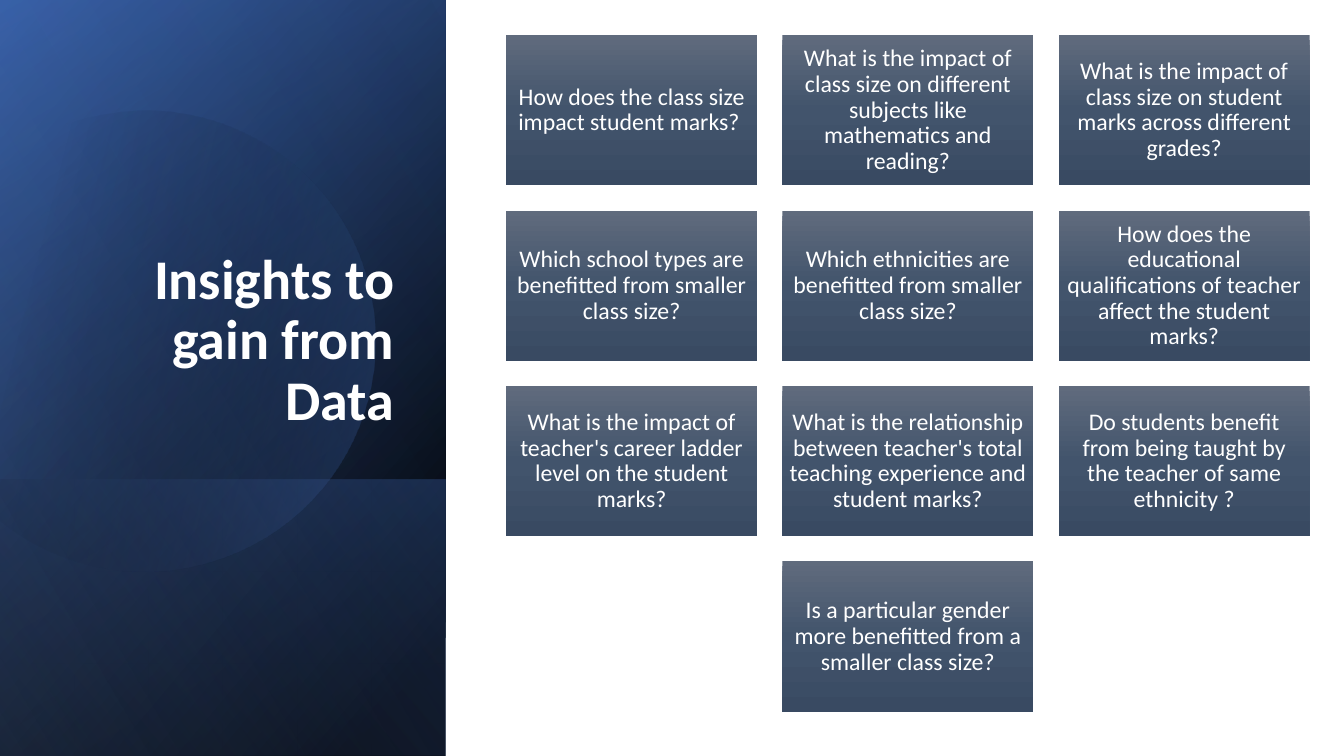
from math import cos, radians, sin

from pptx import Presentation
from pptx.dml.color import RGBColor as Rgb
from pptx.enum.shapes import MSO_SHAPE as Kind
from pptx.enum.text import MSO_ANCHOR as Anchor, PP_ALIGN as Align
from pptx.oxml import parse_xml
from pptx.oxml.ns import nsdecls, qn
from pptx.util import Inches, Pt

WIDE, HIGH = 13.33, 7.5
TITLE = "Insights to gain from Data"
ROWS = [
    ["How does the class size impact student marks? ",
     "What is the impact of class size on different subjects like mathematics and reading?",
     "What is the impact of class size on student marks across different grades?"],
    ["Which school types are benefitted from smaller class size?",
     "Which ethnicities are benefitted from smaller class size?",
     "How does the educational qualifications of teacher affect the student marks?"],
    ["What is the impact of teacher's career ladder level on the student marks?",
     "What is the relationship between teacher's total teaching experience and student marks?",
     "Do students benefit from being taught by the teacher of same ethnicity ?"],
    ["Is a particular gender more benefitted from a smaller class size?"],
]
COLS = 3
LEFT, TOP = 5.02, 0.35
CARD_W, CARD_H, GAP = 2.49, 1.49, 0.25
CARD_FILL = [(0, "606B7D", 100), (50, "42546C", 100), (100, "394A62", 100)]

SIDE = (-1.54, 1.54, HIGH, 4.42)
FOOT = (0.84, 3.92, 2.74, 4.42)
BACK = [
    (SIDE, 50, [(8, "000000", 100), (100, "2F5597", 100)]),
    (SIDE, 30, [(0, "000000", 0), (99, "4472C4", 46)]),
    (FOOT, 130, [(2, "4472C4", 29), (100, "000000", 30)]),
]
GLOW = (SIDE, 120, [(0, "000000", 0), (99, "8FAADC", 11)])

DISC_FILL = [(29, "000000", 0), (100, "4472C4", 43)]
DISC_MID, DISC_TURN = (1.585, 3.345), -16.1
DISC_START = (1.49, 1.1)
DISC = [
    [(2.46, 1.12), (3.35, 1.77), (3.63, 2.75)],
    [(3.98, 3.97), (3.28, 5.23), (2.07, 5.58)],
    [(1.31, 5.8), (0.53, 5.61), (-0.03, 5.14)],
    [(-0.15, 5.03)],
    [(-0.15, 1.75)],
    [(0, 1.61)],
    [(0.23, 1.42), (0.5, 1.28), (0.8, 1.19)],
    [(1.03, 1.13), (1.26, 1.1), (1.49, 1.1)],
]
STEPS = 24


def rgb(code):
    return Rgb.from_string(code)


def shade(shape, stops, angle):
    shape.shadow.inherit = False
    shape.line.fill.background()
    shape.fill.background()
    marks = "".join(
        f'<a:gs pos="{pos * 1000}"><a:srgbClr val="{code}">'
        f'<a:alpha val="{alpha * 1000}"/></a:srgbClr></a:gs>'
        for pos, code, alpha in stops)
    grad = parse_xml(
        f'<a:gradFill {nsdecls("a")} rotWithShape="1"><a:gsLst>{marks}</a:gsLst>'
        f'<a:lin ang="{angle * 60000}" scaled="0"/></a:gradFill>')
    props = shape.element.spPr
    props.replace(props.find(qn("a:noFill")), grad)


def block(slide, box, stops, angle):
    shape = slide.shapes.add_shape(Kind.RECTANGLE, *map(Inches, box))
    shade(shape, stops, angle)
    return shape


def panel(slide, box, angle, stops):
    shape = block(slide, box, stops, angle)
    shape.rotation = 90
    shape.element.spPr.find(qn("a:xfrm")).set("flipH", "1")


def write(shape, text, size, align, anchor, bold=False, inset=None):
    frame = shape.text_frame
    frame.word_wrap = True
    frame.vertical_anchor = anchor
    if inset is not None:
        frame.margin_left = frame.margin_right = Inches(inset)
        frame.margin_top = frame.margin_bottom = Inches(inset)
    para = frame.paragraphs[0]
    para.alignment = align
    para.line_spacing = 0.9
    run = para.add_run()
    run.text = text
    font = run.font
    font.name, font.size, font.bold = "Calibri", Pt(size), bold
    font.color.rgb = rgb("FFFFFF")


def trace():
    spots = [DISC_START]
    for part in DISC:
        if len(part) == 1:
            spots += part
            continue
        a, (b, c, d) = spots[-1], part
        for step in range(1, STEPS + 1):
            t = step / STEPS
            u = 1 - t
            spots.append(tuple(
                u**3 * a[i] + 3 * u * u * t * b[i] + 3 * u * t * t * c[i] + t**3 * d[i]
                for i in (0, 1)))
    return spots


def turn(spot):
    x, y = spot[0] - DISC_MID[0], spot[1] - DISC_MID[1]
    arc = radians(-DISC_TURN)
    return (Inches(DISC_MID[0] + x * cos(arc) - y * sin(arc)),
            Inches(DISC_MID[1] + x * sin(arc) + y * cos(arc)))


def disc(slide):
    first, *rest = map(turn, trace())
    pen = slide.shapes.build_freeform(*first)
    pen.add_line_segments(rest, close=True)
    shape = pen.convert_to_shape()
    shape.rotation = DISC_TURN
    shade(shape, DISC_FILL, 30)


def main():
    deck = Presentation()
    deck.slide_width, deck.slide_height = Inches(WIDE), Inches(HIGH)
    slide = deck.slides.add_slide(deck.slide_layouts[6])
    for item in BACK:
        panel(slide, *item)
    disc(slide)
    panel(slide, *GLOW)
    title = slide.shapes.add_textbox(*map(Inches, (0.51, 0.64, 3.5, 3.7)))
    write(title, TITLE, 40, Align.RIGHT, Anchor.BOTTOM, bold=True)
    for r, row in enumerate(ROWS):
        lead = (COLS - len(row)) / 2
        for c, text in enumerate(row):
            box = (LEFT + (lead + c) * (CARD_W + GAP),
                   TOP + r * (CARD_H + GAP), CARD_W, CARD_H)
            card = block(slide, box, CARD_FILL, 90)
            write(card, text, 17, Align.CENTER, Anchor.MIDDLE, inset=0.07)
    deck.save("out.pptx")


if __name__ == "__main__":
    main()
